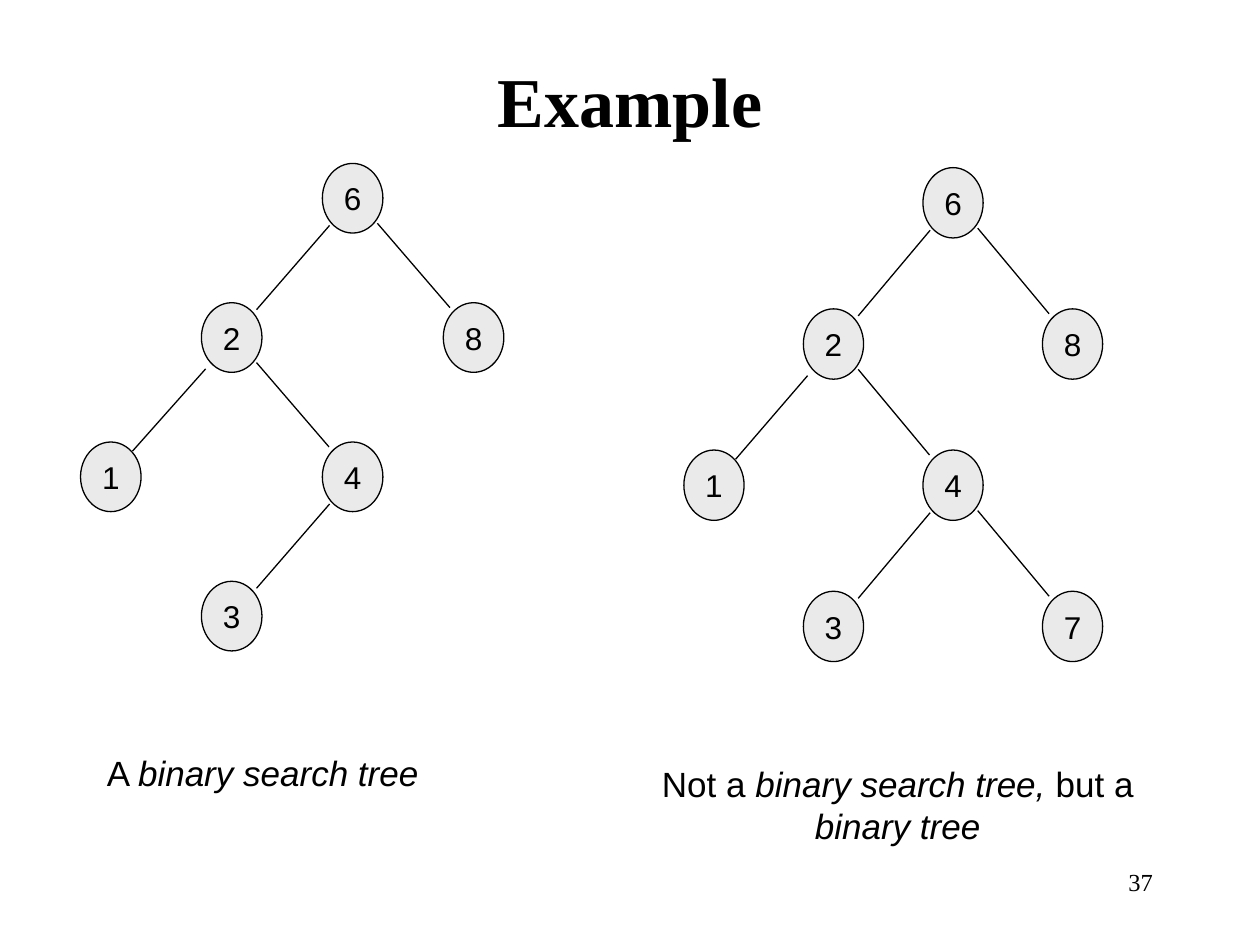
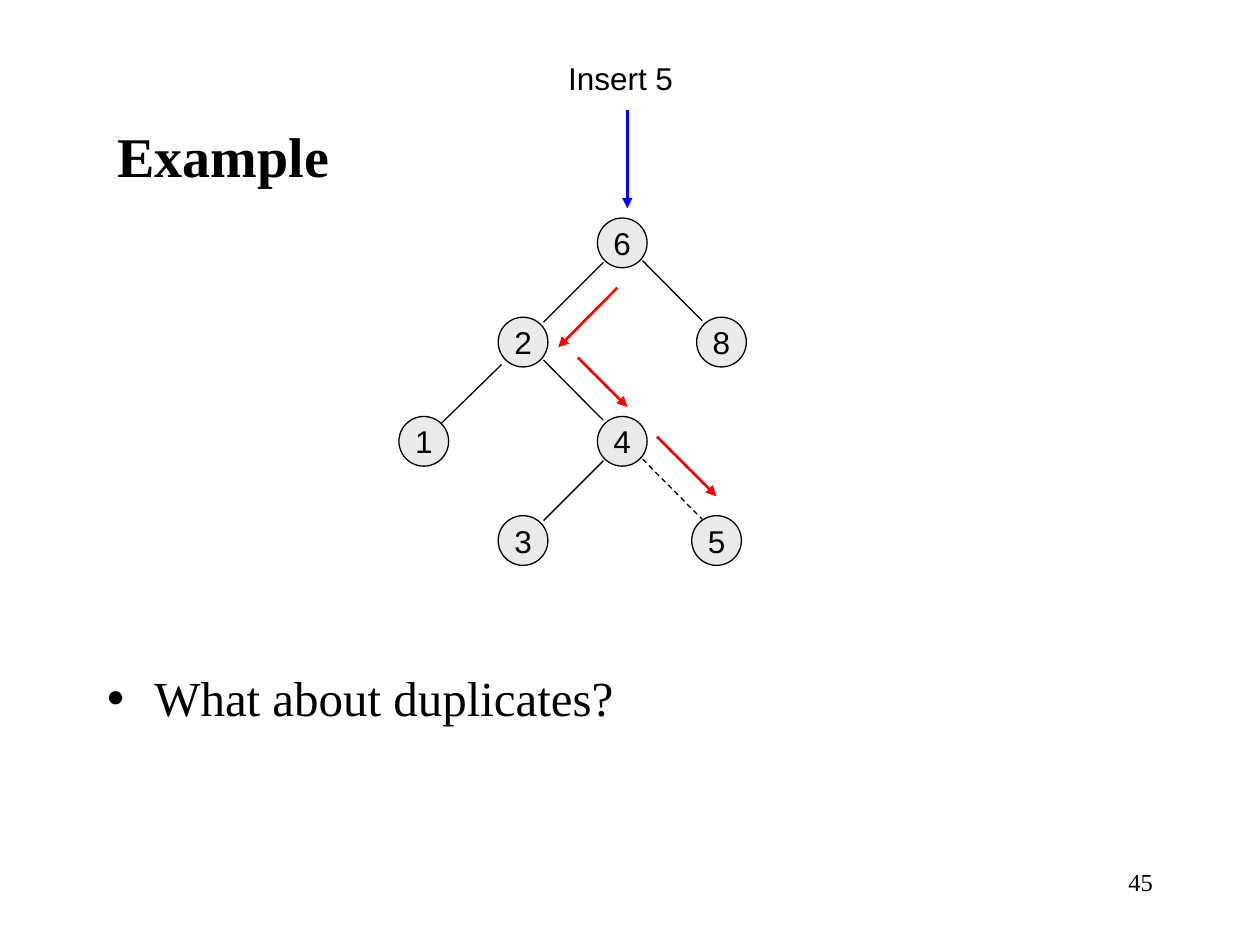
from lxml import etree
from pptx import Presentation
from pptx.dml.color import RGBColor
from pptx.enum.dml import MSO_LINE
from pptx.enum.shapes import MSO_CONNECTOR, MSO_SHAPE
from pptx.enum.text import MSO_ANCHOR, MSO_AUTO_SIZE, PP_ALIGN
from pptx.oxml.ns import qn
from pptx.util import Pt

LEFT, CENTER, RIGHT = PP_ALIGN.LEFT, PP_ALIGN.CENTER, PP_ALIGN.RIGHT
TOP, MIDDLE = MSO_ANCHOR.TOP, MSO_ANCHOR.MIDDLE
DASH = MSO_LINE.DASH
STRAIGHT = MSO_CONNECTOR.STRAIGHT
OVAL = MSO_SHAPE.OVAL
SERIF, SANS = "Times New Roman", "Arial"
BLACK, GREY, BLUE, RED = "000000", "EAEAEA", "0000FF", "FF0000"


def write(shape, runs, size, font, align=LEFT, anchor=TOP, wrap=True, bold=False):
    tf = shape.text_frame
    tf.auto_size = MSO_AUTO_SIZE.NONE
    tf.word_wrap = wrap
    tf.vertical_anchor = anchor
    p = tf.paragraphs[0]
    p.alignment = align
    p.space_before = Pt(0)
    p.font.name = font
    p.font.size = Pt(size)
    p.font.bold = bold
    p.font.color.rgb = RGBColor.from_string(BLACK)
    for text, italic in runs:
        r = p.add_run()
        r.text = text
        if italic:
            r.font.italic = True


def add_line(shapes, x1, y1, x2, y2, color=BLACK, width=0.75, dash=None, arrow=False):
    line = shapes.add_connector(STRAIGHT, Pt(x1), Pt(y1), Pt(x2), Pt(y2))
    line.line.color.rgb = RGBColor.from_string(color)
    line.line.width = Pt(width)
    if dash:
        line.line.dash_style = dash
    if arrow:
        etree.SubElement(line.line._get_or_add_ln(), qn("a:tailEnd"), type="triangle")
    etree.SubElement(line._element.spPr, qn("a:effectLst"))


prs = Presentation()
prs.slide_width, prs.slide_height = Pt(720), Pt(540)
s1 = prs.slides.add_slide(prs.slide_layouts[5])
s2 = prs.slides.add_slide(prs.slide_layouts[1])

for s, box, size, align, anchor, number in [
    (s1, (54, 36, 612, 42), 40, CENTER, MIDDLE, "37"),
    (s2, (60, 66, 198, 46), 32, LEFT, TOP, "45"),
]:
    title = s.shapes.title
    title.left, title.top, title.width, title.height = map(Pt, box)
    write(title, [("Example", False)], size, SERIF, align, anchor, bold=True)
    tb = s.shapes.add_textbox(Pt(516), Pt(492), Pt(150), Pt(36))
    write(tb, [(number, False)], 14, SERIF, RIGHT)

# (column, row) of each key
CELLS = {"6": (2, 0), "2": (1, 1), "8": (3, 1), "1": (0, 2), "4": (2, 2),
         "3": (1, 3), "7": (3, 3), "5": (3, 3)}
LEFT_EDGE = (0.12, 0.89, 0.91, 0.1)
RIGHT_EDGE = (0.91, 0.86, 0.11, 0.07)
EDGES = [("2", "1", (0.07, 0.95, 0.86, 0.13)), ("4", "3", LEFT_EDGE),
         ("6", "2", LEFT_EDGE), ("2", "4", RIGHT_EDGE), ("6", "8", RIGHT_EDGE),
         ("4", "7", RIGHT_EDGE), ("4", "5", RIGHT_EDGE)]

for s, keys, left, top, dx, dy, w, h in [
    (s1, "628143", 46, 93.4, 69.1, 79.6, 34.6, 39.8),
    (s1, "6281437", 390.8, 95.8, 68.3, 80.7, 34.4, 40.2),
    (s2, "6281435", 228, 124.6, 56.7, 56.7, 28.4, 28.4),
]:
    tree = s.shapes.add_group_shape().shapes
    corners = {k: (left + CELLS[k][0] * dx, top + CELLS[k][1] * dy) for k in keys}
    for key, (x, y) in corners.items():
        shift = -2.8 if key == "5" else 0
        node = tree.add_shape(OVAL, Pt(x + shift), Pt(y), Pt(w), Pt(h))
        node.shadow.inherit = False
        node.fill.solid()
        node.fill.fore_color.rgb = RGBColor.from_string(GREY)
        node.line.color.rgb = RGBColor.from_string(BLACK)
        node.line.width = Pt(0.75)
        write(node, [(key, False)], 18, SANS, CENTER, MIDDLE, wrap=False)
    for parent, child, (fx1, fy1, fx2, fy2) in EDGES:
        if parent in corners and child in corners:
            (px, py), (cx, cy) = corners[parent], corners[child]
            add_line(tree, px + fx1 * w, py + fy1 * h, cx + fx2 * w, cy + fy2 * h,
                     dash=DASH if child == "5" else None)

for s, box, runs, size, align, wrap in [
    (s1, (54, 426, 194, 32), [("A ", False), ("binary search tree", True)],
     20, LEFT, False),
    (s1, (348, 432, 330, 55),
     [("Not a ", False), ("binary search tree, ", True), ("but a ", False),
      ("binary tree", True)], 20, CENTER, True),
    (s2, (317.5, 30.2, 74, 29), [("Insert 5", False)], 18, LEFT, False),
]:
    tb = s.shapes.add_textbox(*map(Pt, box))
    write(tb, runs, size, SANS, align, wrap=wrap)

for x1, y1, x2, y2, color in [
    (358.5, 62.6, 358.5, 119, BLUE),
    (352.8, 164.4, 319, 198.5, RED),
    (330.2, 204.3, 358.5, 232.6, RED),
    (375.4, 249.6, 409.4, 283.6, RED),
]:
    add_line(s2.shapes, x1, y1, x2, y2, color, 1.5, arrow=True)

body = s2.placeholders[1]
body.left, body.top, body.width, body.height = Pt(54), Pt(378), Pt(612), Pt(102)
write(body, [("What about duplicates?", False)], 28, SERIF)

prs.save("out.pptx")
